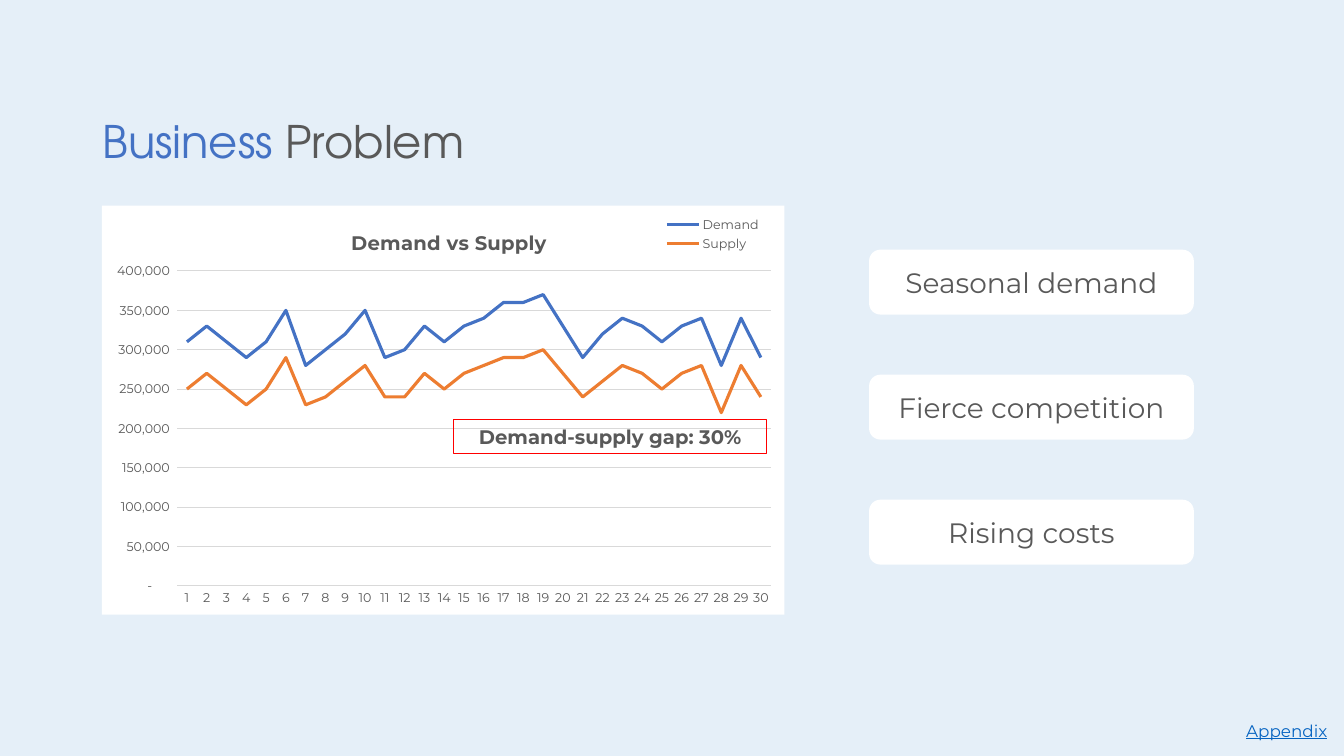
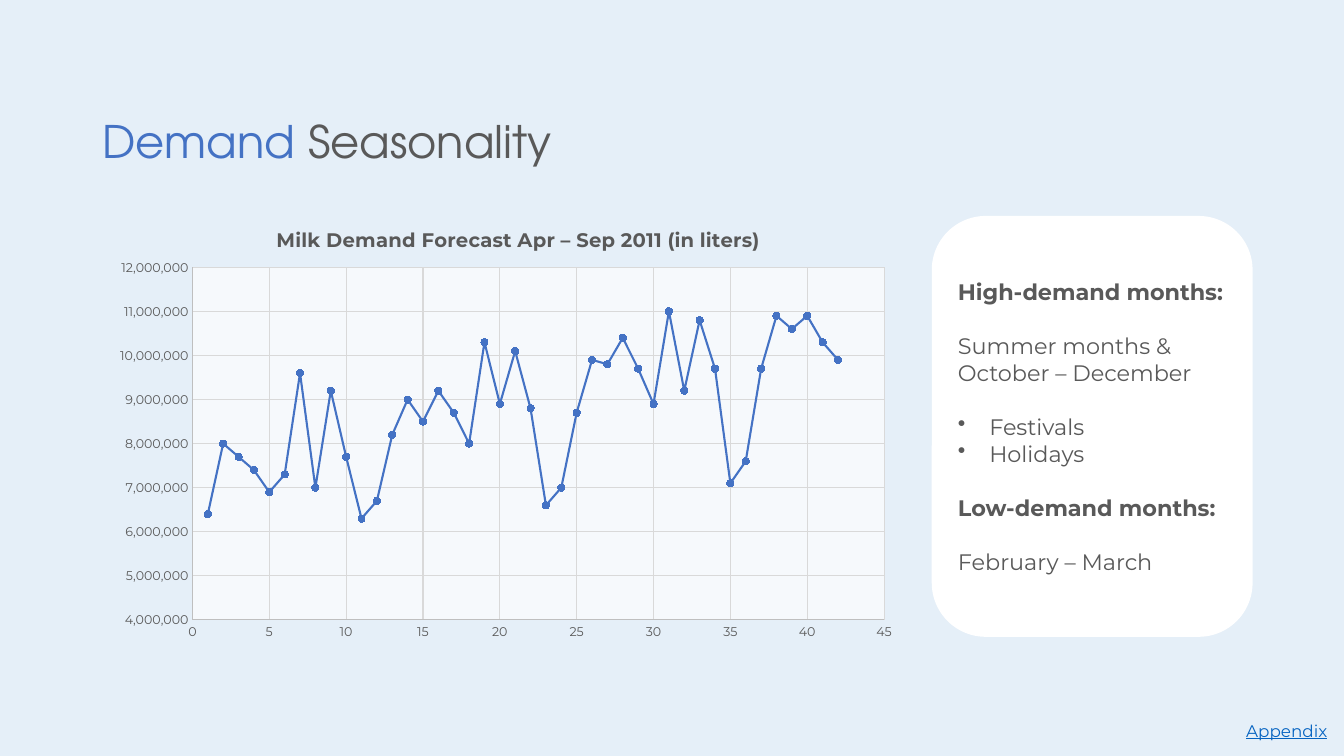
"""Build two slides on milk demand, its gap to supply and its seasons."""
from pptx import Presentation, util as u
from pptx.chart import data as cd
from pptx.dml.color import RGBColor
from pptx.enum import chart as ch, shapes as sh, text as tx
from pptx.oxml import parse_xml
from pptx.oxml.ns import nsdecls

BLUE = RGBColor(0x44, 0x72, 0xC4)
ORANGE = RGBColor(0xED, 0x7D, 0x31)
GRAY = RGBColor(0x59, 0x59, 0x59)
SILVER = RGBColor(0xBF, 0xBF, 0xBF)
PALE = RGBColor(0xD9, 0xD9, 0xD9)
WHITE = RGBColor(0xFF, 0xFF, 0xFF)
RED = RGBColor(0xFF, 0x00, 0x00)
LINK = RGBColor(0x05, 0x63, 0xC1)
SKY = RGBColor(0xE5, 0xEF, 0xF8)

HEAD = {"name": "TeX Gyre Adventor", "size": u.Pt(32)}
BODY = {"name": "Montserrat", "size": u.Pt(16)}
LARGE = {**BODY, "size": u.Pt(20)}
NOTE = {**BODY, "size": u.Pt(14)}
STRONG = {**NOTE, "bold": True}
FOOT = {**BODY, "size": u.Pt(12), "underline": True}
SMALL = {**BODY, "size": u.Pt(9)}

LEFT, MID, RIGHT = tx.PP_ALIGN.LEFT, tx.PP_ALIGN.CENTER, tx.PP_ALIGN.RIGHT
TOP, CENTER = tx.MSO_ANCHOR.TOP, tx.MSO_ANCHOR.MIDDLE
ROUND, RECT = sh.MSO_SHAPE.ROUNDED_RECTANGLE, sh.MSO_SHAPE.RECTANGLE


def style(font, form, tint):
    """Give a font its format values and colour."""
    for key, val in form.items():
        setattr(font, key, val)
    font.color.rgb = tint


def write(par, form, *runs):
    """Add runs of text and colour to a paragraph."""
    for words, tint in runs:
        run = par.add_run()
        run.text = words
        style(run.font, form, tint)


deck = Presentation()
deck.slide_width, deck.slide_height = u.Cm(33.87), u.Cm(19.05)
ground = deck.slide_master.background.fill
ground.solid()
ground.fore_color.rgb = SKY
gap, season = [deck.slides.add_slide(deck.slide_layouts[6]) for _ in range(2)]

demand = [310, 330, 310, 290, 310, 350, 280, 300, 320, 350, 290, 300, 330, 310, 330,
          340, 360, 360, 370, 330, 290, 320, 340, 330, 310, 330, 340, 280, 340, 290]
supply = [250, 270, 250, 230, 250, 290, 230, 240, 260, 280, 240, 240, 270, 250, 270,
          280, 290, 290, 300, 270, 240, 260, 280, 270, 250, 270, 280, 220, 280, 240]
liters = [64, 80, 77, 74, 69, 73, 96, 70, 92, 77, 63, 67, 82, 90, 85, 92, 87, 80, 103, 89, 101,
          88, 66, 70, 87, 99, 98, 104, 97, 89, 110, 92, 108, 97, 71, 76, 97, 109, 106, 109, 103, 99]

lines = cd.CategoryChartData()
lines.categories = [str(day) for day in range(1, 31)]
for name, vals in (("Demand", demand), ("Supply", supply)):
    lines.add_series(name, [val * 1000 for val in vals])
dots = cd.XyChartData()
row = dots.add_series("Series 1")
for week, val in enumerate(liters, 1):
    row.add_data_point(week, val * 100000)

KINDS = ch.XL_CHART_TYPE
charts = [
    {"page": gap, "kind": KINDS.LINE, "data": lines, "spot": (2.57, 5.18, 17.2, 10.31),
     "title": "Demand vs Supply", "width": 2.25, "legend": True,
     "area": "<a:solidFill><a:srgbClr val='FFFFFF'/></a:solidFill>", "clear": 100,
     "x": ({}, PALE, False, "General"),
     "y": ({"minimum_scale": 0, "maximum_scale": 400000, "major_unit": 50000}, None, True,
           '_(* #,##0_);_(* \\(#,##0\\);_(* "-"??_);_(@_)'),
     "places": {"title": (1, 0.36, 0.05), "plotArea": (0, 0.11, 0.16, 0.87, 0.77),
                "legend": (1, 0.82, 0.02, 0.15, 0.1)}},
    {"page": season, "kind": KINDS.XY_SCATTER_LINES, "data": dots,
     "spot": (2.62, 5.05, 20.27, 11.25),
     "title": "Milk Demand Forecast Apr – Sep 2011 (in liters)", "width": 1.5, "legend": False,
     "area": "<a:noFill/>", "clear": 66,
     "x": ({"minimum_scale": 0, "maximum_scale": 45, "major_unit": 5}, SILVER, True, "General"),
     "y": ({"minimum_scale": 4000000, "maximum_scale": 12000000, "major_unit": 1000000},
           SILVER, True, "#,##0"),
     "places": {"title": (1, 0.21, 0.05), "plotArea": (0, 0.11, 0.15, 0.86, 0.79)}},
]
for item in charts:
    spot = [u.Cm(n) for n in item["spot"]]
    chart = item["page"].shapes.add_chart(item["kind"], *spot, item["data"]).chart
    style(chart.font, SMALL, GRAY)
    chart.has_title = True
    write(chart.chart_title.text_frame.paragraphs[0], NOTE, (item["title"], GRAY))
    chart.has_legend = item["legend"]
    if chart.has_legend:
        chart.legend.position = ch.XL_LEGEND_POSITION.CORNER
        chart.legend.include_in_layout = True
        style(chart.legend.font, SMALL, GRAY)
    plot = chart.plots[0]
    plot.vary_by_categories = False
    for row, tint in zip(plot.series, (BLUE, ORANGE)):
        row.smooth = False
        row.format.line.color.rgb = tint
        row.format.line.width = u.Pt(item["width"])
        if item["kind"] == KINDS.XY_SCATTER_LINES:
            row.marker.style, row.marker.size = ch.XL_MARKER_STYLE.CIRCLE, 5
            row.marker.format.fill.solid()
            row.marker.format.fill.fore_color.rgb = tint
            row.marker.format.line.color.rgb = tint

    for axis, side in ((chart.category_axis, "x"), (chart.value_axis, "y")):
        scale, edge, grid, digits = item[side]
        for key, val in scale.items():
            setattr(axis, key, val)
        axis.major_tick_mark = axis.minor_tick_mark = ch.XL_TICK_MARK.NONE
        axis.has_major_gridlines = grid
        if grid:
            axis.major_gridlines.format.line.color.rgb = PALE
            axis.major_gridlines.format.line.width = u.Pt(0.75)
        if edge:
            axis.format.line.color.rgb = edge
            axis.format.line.width = u.Pt(0.75)
        else:
            axis.format.line.fill.background()
        axis.tick_labels.number_format = digits
        axis.tick_labels.number_format_is_linked = False
        style(axis.tick_labels.font, SMALL, GRAY)

    for part, (order, *place) in item["places"].items():
        node = chart.element.xpath(f"c:chart/c:{part}")[0]
        for old in node.xpath("c:layout"):
            node.remove(old)
        inner = '<c:layoutTarget val="inner"/>' if part == "plotArea" else ""
        modes = '<c:xMode val="edge"/><c:yMode val="edge"/>'
        sizes = "".join(f'<c:{key} val="{val}"/>' for key, val in zip("xywh", place))
        node.insert(order, parse_xml(
            f'<c:layout {nsdecls("c")}><c:manualLayout>{inner}{modes}{sizes}'
            '</c:manualLayout></c:layout>'))
    back = ("<a:solidFill><a:srgbClr val='FFFFFF'>"
            f"<a:alpha val='{item['clear'] * 1000}'/></a:srgbClr></a:solidFill>")
    outer, inner = [parse_xml(f'<c:spPr {nsdecls("c", "a")}>{fill}<a:ln><a:noFill/></a:ln></c:spPr>')
                    for fill in (item["area"], back)]
    chart.element.xpath("c:chart")[0].addnext(outer)
    chart.element.xpath("c:chart/c:plotArea")[0].append(inner)

months = [("High-demand months:", True, False, 0), ("Summer months &", False, False, 1),
          ("October – December", False, False, 0), ("Festivals", False, True, 1),
          ("Holidays", False, True, 0), ("Low-demand months:", True, False, 1),
          ("February – March", False, False, 1)]
boxes = [(gap, ROUND, (21.92, 6.31 + 3.15 * num, 8.15, 1.6), WHITE, 1, LARGE, MID,
          [(words, False, False, 0)])
         for num, words in enumerate(("Seasonal demand", "Fierce competition", "Rising costs"))]
boxes += [(gap, RECT, (11.43, 10.57, 7.9, 0.87), RED, 0.75, STRONG, MID,
           [("Demand-supply gap: 30%", True, False, 0)]),
          (season, ROUND, (23.5, 5.46, 8.05, 10.57), WHITE, 1, BODY, LEFT, months)]
for page, kind, spot, edge, width, form, align, rows in boxes:
    box = page.shapes.add_shape(kind, *[u.Cm(n) for n in spot])
    box.shadow.inherit = False
    if kind == ROUND:
        box.fill.solid()
        box.fill.fore_color.rgb = WHITE
    else:
        box.fill.background()
    box.line.color.rgb, box.line.width = edge, u.Pt(width)
    frame = box.text_frame
    frame.word_wrap, frame.vertical_anchor = True, CENTER
    for num, (words, bold, dot, skip) in enumerate(rows):
        par = frame.add_paragraph() if num else frame.paragraphs[0]
        par.alignment = align
        if skip:
            par.space_before = u.Pt(19.5)
        if dot:
            props = par._p.get_or_add_pPr()
            props.set("marL", str(u.Cm(0.79)))
            props.set("indent", str(-u.Cm(0.79)))
            props.append(parse_xml(f'<a:buChar {nsdecls("a")} char="•"/>'))
        write(par, {**form, "bold": bold}, (words, GRAY))

for page, first, last in ((gap, "Business ", "Problem"), (season, "Demand ", "Seasonality")):
    labels = [((2.33, 1.78, 29.21, 3.68), CENTER, LEFT, 0.9, HEAD, [(first, BLUE), (last, GRAY)]),
              ((29.36, 18.03, 4.34, 0.76), TOP, RIGHT, 1.0, FOOT, [("Appendix", LINK)])]
    for spot, anchor, align, space, form, runs in labels:
        frame = page.shapes.add_textbox(*[u.Cm(n) for n in spot]).text_frame
        frame.word_wrap, frame.vertical_anchor = True, anchor
        par = frame.paragraphs[0]
        par.alignment, par.line_spacing = align, space
        write(par, form, *runs)

deck.save("out.pptx")
